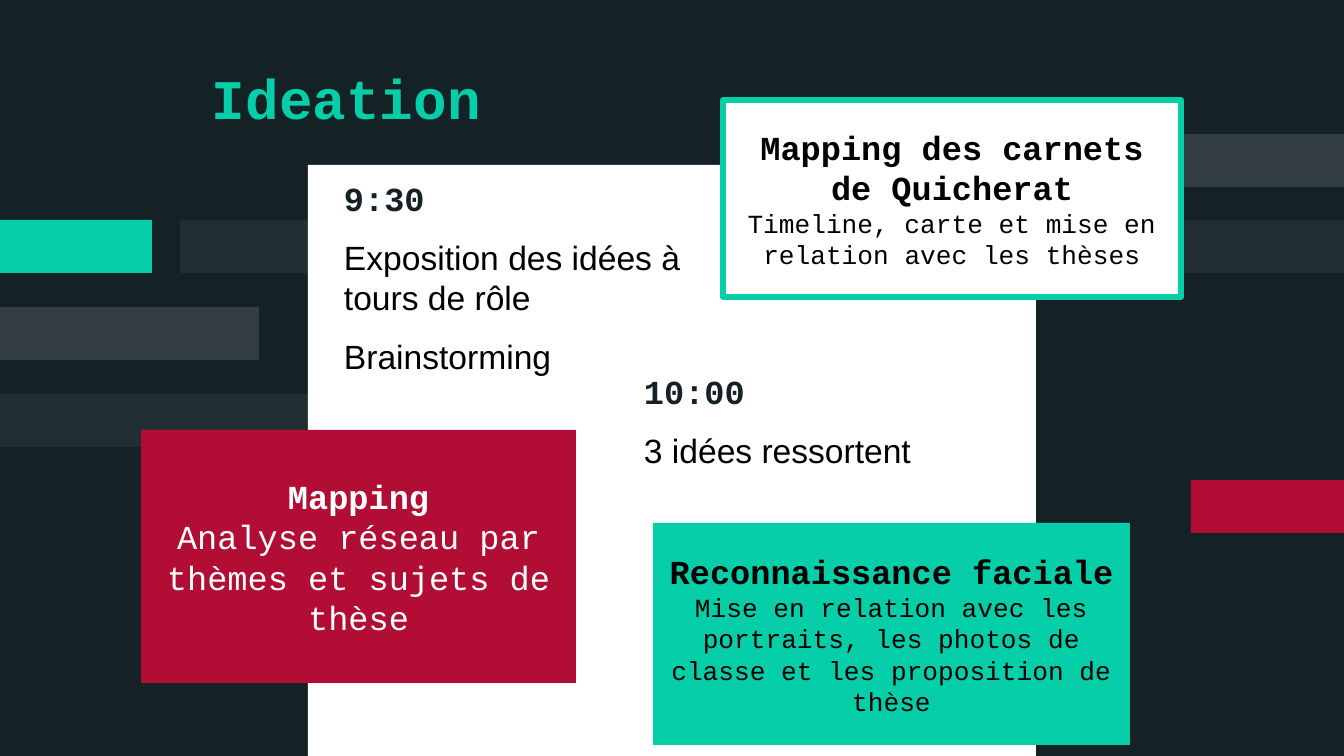
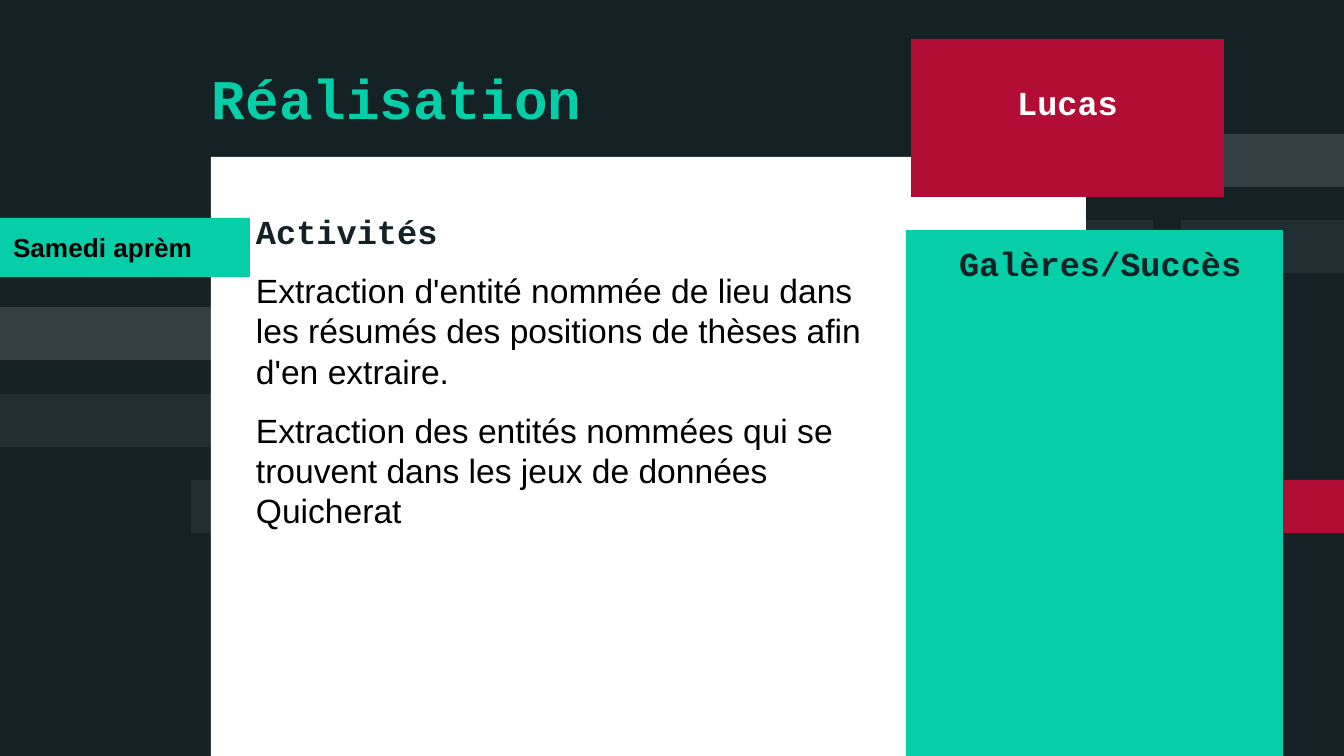
from lxml.etree import SubElement
from pptx import Presentation
from pptx.dml.color import RGBColor as RGB
from pptx.enum.shapes import MSO_SHAPE as SHAPE
from pptx.enum.text import MSO_ANCHOR as ANCHOR, PP_ALIGN as ALIGN
from pptx.oxml.ns import qn
from pptx.util import Emu, Pt

PX = 914400 / 134.4
INSET = 13
C = {"dark": "142226", "green": "06CEA8", "red": "B20D34", "white": "FFFFFF", "black": "000000"}
MONO, SANS = "Courier New", "Arial"

ROWS = [134, 220, 307, 394, 480]
BAND_H = 53
BANDS = [
    (0, 2, 259, "white", 13),
    (180, 1, 163, "white", 6),
    (0, 3, 331, "white", 6),
    (0, 1, 152, "green", 100),
    (1191, 4, 153, "red", 100),
    (1181, 1, 163, "white", 6),
    (1013, 0, 331, "white", 13),
]
EXTRA_BANDS = [(191, 4, 163, "white", 6), (805, 1, 348, "white", 6)]


def add_rect(s, box, color, alpha=100, outline=None):
    sp = s.shapes.add_shape(SHAPE.RECTANGLE, *[Emu(round(v * PX)) for v in box])
    sp.shadow.inherit = False
    sp.fill.solid()
    sp.fill.fore_color.rgb = RGB.from_string(C[color])
    if alpha < 100:
        clr = sp.fill._xPr.find(qn("a:solidFill"))[0]
        SubElement(clr, qn("a:alpha"), val=str(alpha * 1000))
    if outline:
        sp.line.color.rgb = RGB.from_string(C[outline])
        sp.line.width = Pt(3)
    else:
        sp.line.fill.background()
    return sp


def write(sp, paras, align=ALIGN.LEFT, anchor=ANCHOR.TOP, gap=0, left=INSET, bottom=INSET):
    tf = sp.text_frame
    tf.word_wrap = True
    tf.vertical_anchor = anchor
    tf.margin_top = tf.margin_right = Emu(round(INSET * PX))
    tf.margin_left, tf.margin_bottom = Emu(round(left * PX)), Emu(round(bottom * PX))
    for i, (text, size, font, color, bold) in enumerate(paras):
        p = tf.add_paragraph() if i else tf.paragraphs[0]
        p.text = text
        p.alignment = align
        if i and gap:
            p.space_before = Pt(gap)
        p.font.size = Pt(size)
        p.font.name = font
        p.font.bold = bold
        p.font.color.rgb = RGB.from_string(C[color])


prs = Presentation()
prs.slide_width, prs.slide_height = Emu(round(1344 * PX)), Emu(round(756 * PX))

slides = []
for title, bands, panel in [
    ("Ideation", BANDS, (308, 165, 728, 591)),
    ("Réalisation", BANDS + EXTRA_BANDS, (211, 157, 875, 607)),
]:
    s = prs.slides.add_slide(prs.slide_layouts[6])
    s.background.fill.solid()
    s.background.fill.fore_color.rgb = RGB.from_string(C["dark"])
    for x, row, w, color, alpha in bands:
        add_rect(s, (x, ROWS[row], w, BAND_H), color, alpha)
    add_rect(s, panel, "white")
    box = s.shapes.add_textbox(*[Emu(round(v * PX)) for v in (199, 51, 921, 98)])
    write(box, [(title, 30, MONO, "green", True)])
    slides.append(s)
ideation, realisation = slides

for box, fill, outline, ink, size, heading, detail in [
    ((723, 100, 458, 197), "white", "green", "black", 14, "Mapping des carnets de Quicherat",
     "Timeline, carte et mise en relation avec les thèses"),
    ((653, 523, 477, 222), "green", None, "black", 14, "Reconnaissance faciale",
     "Mise en relation avec les portraits, les photos de classe et les proposition de thèse"),
    ((141, 430, 435, 253), "red", None, "white", 18, "Mapping",
     "Analyse réseau par thèmes et sujets de thèse"),
]:
    card = add_rect(ideation, box, fill, outline=outline)
    write(card, [(heading, 18, MONO, ink, True), (detail, size, MONO, ink, False)],
          ALIGN.CENTER, ANCHOR.MIDDLE)

for s, box, heading, lines in [
    (ideation, (331, 165, 441, 227), "9:30",
     ["Exposition des idées à tours de rôle", "Brainstorming"]),
    (ideation, (631, 358, 441, 128), "10:00", ["3 idées ressortent"]),
    (realisation, (243, 198, 657, 548), "Activités",
     ["Extraction d'entité nommée de lieu dans les résumés des positions de thèses afin d'en extraire.",
      "Extraction des entités nommées qui se trouvent dans les jeux de données Quicherat"]),
]:
    text = s.shapes.add_textbox(*[Emu(round(v * PX)) for v in box])
    write(text, [(heading, 18, MONO, "dark", True)]
          + [(line, 18, SANS, "black", False) for line in lines], gap=10)

person = add_rect(realisation, (911, 39, 313, 158), "red")
write(person, [("Lucas", 18, MONO, "white", True)], ALIGN.CENTER, ANCHOR.MIDDLE, bottom=44)
moment = add_rect(realisation, (0, 218, 250, 59), "green")
write(moment, [("Samedi aprèm", 14, SANS, "black", True)])
results = add_rect(realisation, (906, 230, 377, 526), "green")
write(results, [("Galères/Succès", 18, MONO, "dark", True)], left=53)

prs.save("out.pptx")
